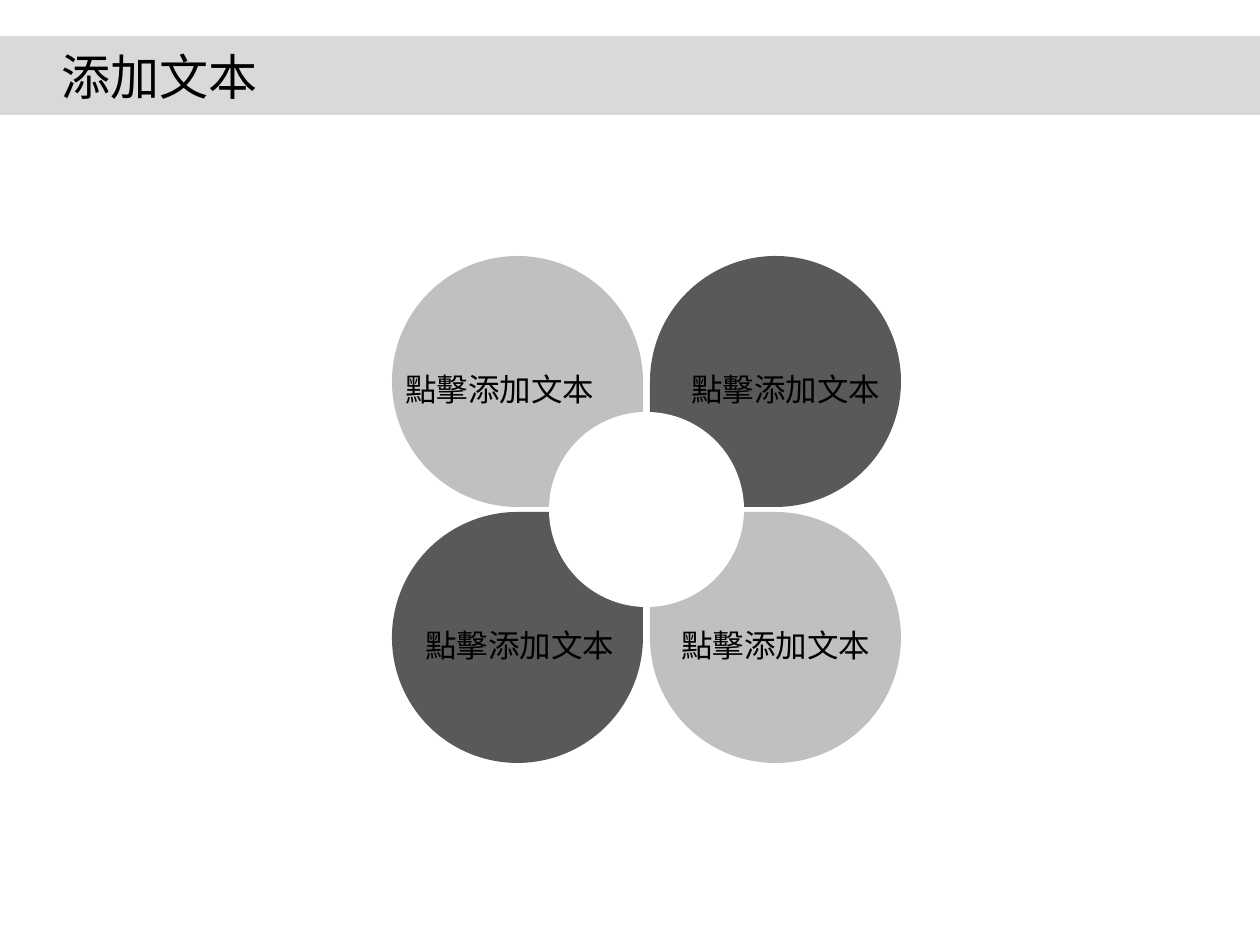
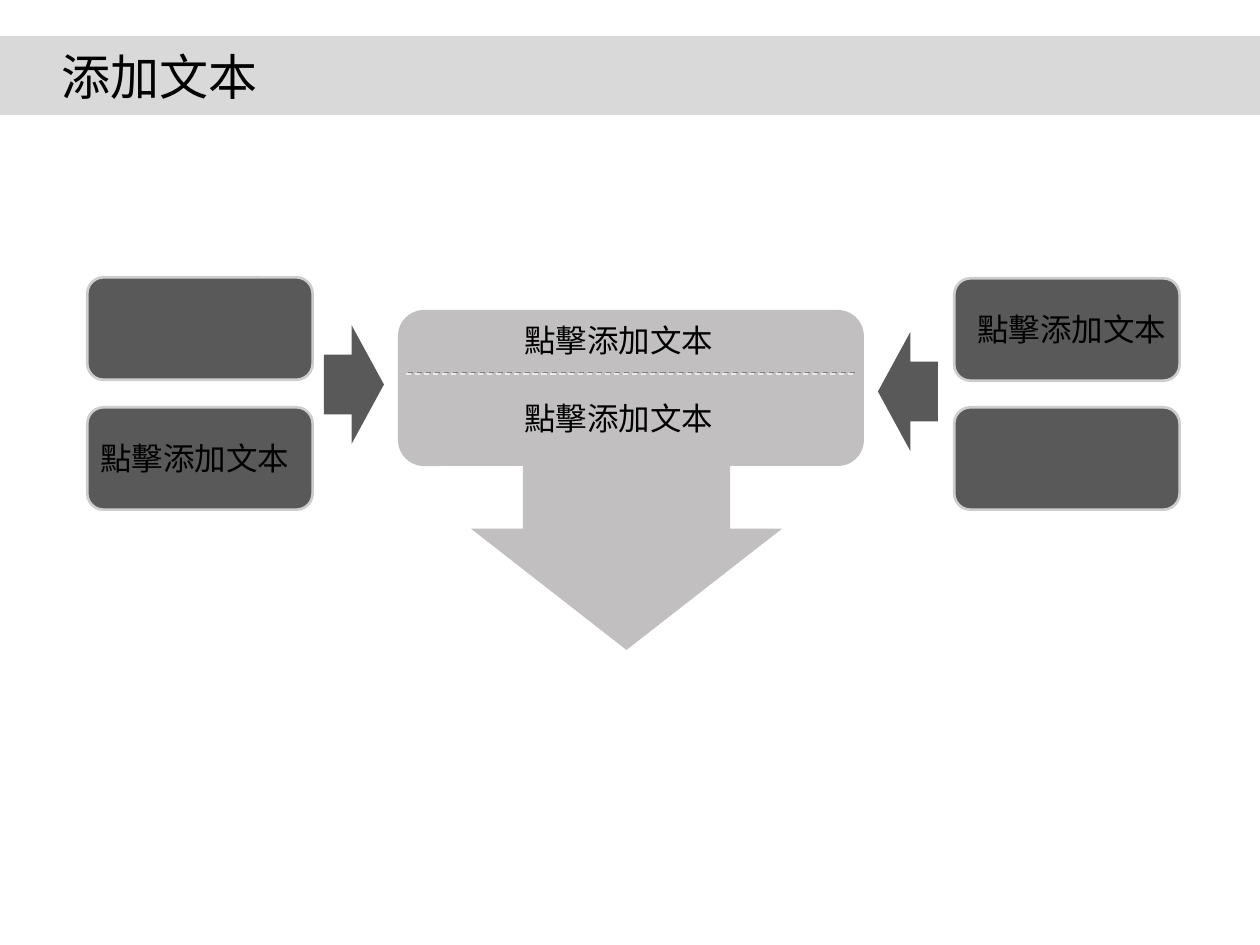
from lxml import etree
from pptx import Presentation
from pptx import util as u
from pptx.dml.color import RGBColor
from pptx.enum import dml, shapes, text
from pptx.oxml import ns

PX = 914400 / 126
FONT = "Noto Sans CJK SC"
COLORS = {
    "band": "D9D9D9",
    "dark": "595959",
    "light": "C1BFC0",
    "white": "FFFFFF",
    "black": "000000",
    "dash": "EAEAEA",
    "shadow": "808080",
}
TITLE = "添加文本"
LABEL = "點擊添加文本"
LABEL_SIZE = (214, 50)
SHAPE = shapes.MSO_SHAPE


def px(*lengths):
    return [u.Emu(round(length * PX)) for length in lengths]


def rgb(name):
    return RGBColor.from_string(COLORS[name])


def add_child(parent, tag, **attributes):
    return etree.SubElement(parent, ns.qn(tag), attributes)


def add_block(slide, kind, box, color, adjustments=(), rotation=0):
    shape = slide.shapes.add_shape(kind, *px(*box))
    shape.shadow.inherit = False
    shape.fill.solid()
    shape.fill.fore_color.rgb = rgb(color)
    shape.line.fill.background()
    shape.rotation = rotation
    for index, value in enumerate(adjustments):
        shape.adjustments[index] = value
    return shape


def add_text(slide, box, words, size):
    frame = slide.shapes.add_textbox(*px(*box)).text_frame
    frame.word_wrap = False
    frame.auto_size = text.MSO_AUTO_SIZE.SHAPE_TO_FIT_TEXT
    paragraph = frame.paragraphs[0]
    paragraph.text = words
    paragraph.font.size = u.Pt(size)
    paragraph.font.color.rgb = rgb("black")
    paragraph.font.name = FONT
    properties = paragraph._p.pPr.find(ns.qn("a:defRPr"))
    add_child(properties, "a:ea", typeface=FONT)


def add_label(slide, left, top):
    add_text(slide, (left, top, *LABEL_SIZE), LABEL, 18)


def add_header(slide, box):
    left, top, width, height = box
    add_block(slide, SHAPE.RECTANGLE, box, "band")
    add_text(slide, (left + 49, top + 4, 222, 72), TITLE, 28)


def add_flower(slide, box):
    left, top, width, height = box
    petal = 251
    hub = 195
    petals = [
        (0, 0, 90, "light", 1),
        (1, 0, 180, "dark", 29),
        (0, 1, 0, "dark", 21),
        (1, 1, 270, "light", 19),
    ]
    places = [
        (left + column * (width - petal), top + row * (height - petal))
        for column, row, *_ in petals
    ]
    for (x, y), (_, _, rotation, color, _) in zip(places, petals):
        add_block(slide, SHAPE.TEAR, (x, y, petal, petal), color, rotation=rotation)
    hub_box = (left + (width - hub) / 2, top + (height - hub) / 2, hub, hub)
    add_block(slide, SHAPE.OVAL, hub_box, "white")
    for (x, y), (*_, indent) in zip(places, petals):
        add_label(slide, x + indent, y + 108)


def add_input_stack(slide, box, label_offset):
    left, top, width, height = box
    card_height = 105
    for y in (top, top + height - card_height):
        card = add_block(slide, SHAPE.ROUNDED_RECTANGLE,
                         (left, y, width, card_height), "dark", [0.167])
        card.line.width = u.Pt(3)
        card.line.color.rgb = rgb("white")
        line_color = card.line._ln.find(".//" + ns.qn("a:srgbClr"))
        add_child(line_color, "a:alpha", val="70000")
    add_label(slide, left + label_offset[0], top + label_offset[1])


def add_divider(slide, left, right, y):
    divider = slide.shapes.add_connector(
        shapes.MSO_CONNECTOR.STRAIGHT, *px(left, y, right, y))
    divider.line.width = u.Pt(0.75)
    divider.line.color.rgb = rgb("dash")
    divider.line.dash_style = dml.MSO_LINE.DASH
    effects = add_child(divider._element.spPr, "a:effectLst")
    shadow = add_child(effects, "a:outerShdw",
                       dist=str(u.Pt(1.4)), dir=str(315 * 60000))
    add_child(shadow, "a:srgbClr", val=COLORS["shadow"])


def add_result(slide, box):
    left, top, width, height = box
    add_block(slide, SHAPE.DOWN_ARROW,
              (left + 73, top + height - 251, 311, 251), "light", [0.666, 0.483])
    add_block(slide, SHAPE.ROUNDED_RECTANGLE, (left, top, width, 156), "light", [0.167])
    add_block(slide, SHAPE.ROUNDED_RECTANGLE,
              (left + 1, top + 2, width - 6, 63), "light", [0.348])
    add_divider(slide, left + 8, left + width - 11, top + 64)
    for offset in (5, 83):
        add_label(slide, left + 114, top + offset)


def add_merge(slide, box):
    left, top, width, height = box
    stack_width = 228
    add_result(slide, (left + 312, top + 34, 466, height - 34))
    for kind, x, y in ((SHAPE.RIGHT_ARROW, 238, 49), (SHAPE.LEFT_ARROW, 792, 56)):
        add_block(slide, kind, (left + x, top + y, 60, 119), "dark", [0.501, 0.54])
    add_input_stack(slide, (left, top, stack_width, 235), (2, 157))
    add_input_stack(slide, (left + width - stack_width, top + 1, stack_width, 234),
                    (12, 27))


def main():
    presentation = Presentation()
    presentation.slide_width, presentation.slide_height = px(1260, 945)
    bodies = [
        (add_flower, (392, 256, 509, 507)),
        (add_merge, (86, 276, 1095, 374)),
    ]
    for add_body, box in bodies:
        slide = presentation.slides.add_slide(presentation.slide_layouts[6])
        add_header(slide, (0, 36, 1260, 79))
        add_body(slide, box)
    presentation.save("out.pptx")


if __name__ == "__main__":
    main()
